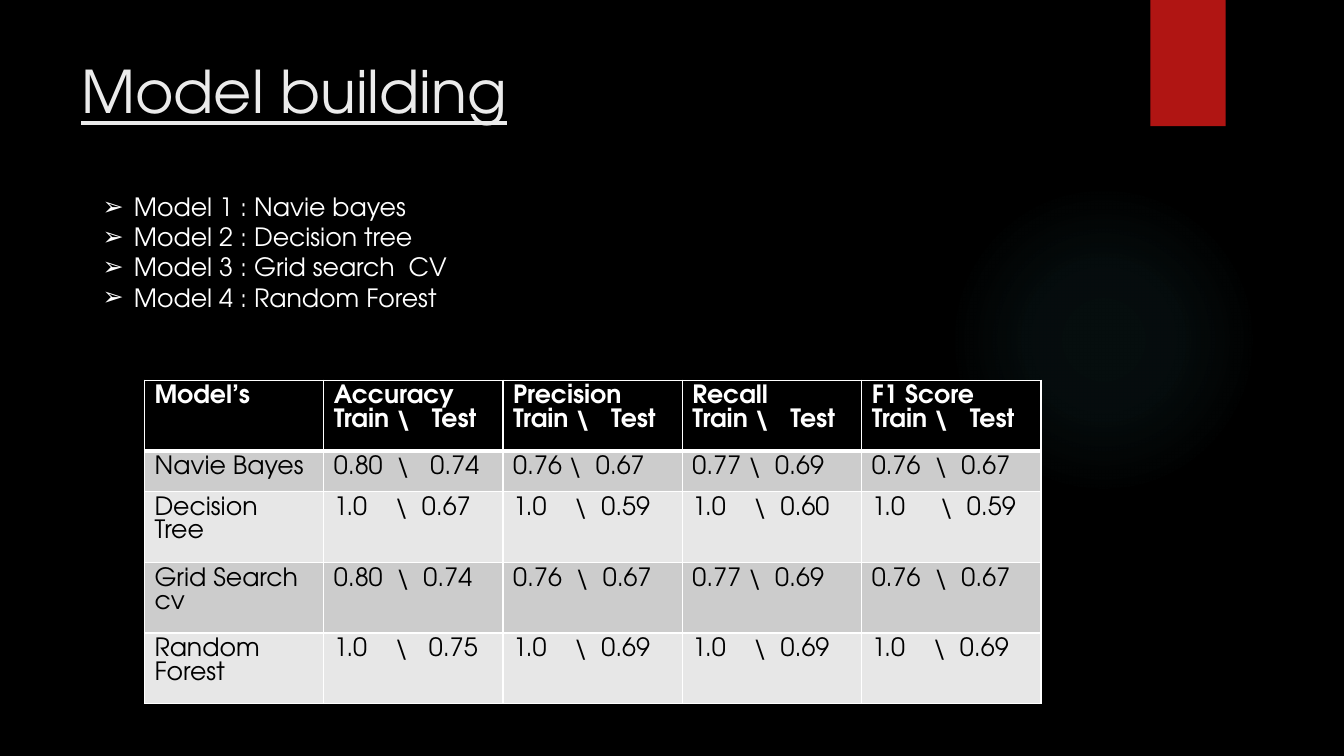
from pptx import Presentation
from pptx.dml.color import RGBColor
from pptx.enum.shapes import MSO_SHAPE as Shape
from pptx.enum.text import MSO_ANCHOR as Anchor, MSO_AUTO_SIZE as AutoSize, PP_ALIGN as Align
from pptx.oxml import parse_xml
from pptx.oxml.ns import nsdecls
from pptx.util import Cm, Pt

FONT = "TeX Gyre Adventor"
TITLE = "Model building"
MODELS = [
    "Model 1 : Navie bayes",
    "Model 2 : Decision tree",
    "Model 3 : Grid search  CV",
    "Model 4 : Random Forest",
]
SPLIT = "Train \\   Test"
SCORES = [
    ["Model’s"] + [f"{m}\n{SPLIT}" for m in ("Accuracy", "Precision", "Recall", "F1 Score")],
    ["Navie Bayes", "0.80  \\   0.74", "0.76 \\  0.67", "0.77 \\  0.69", "0.76  \\  0.67"],
    ["Decision Tree", "1.0    \\  0.67", "1.0    \\  0.59", "1.0    \\  0.60", "1.0     \\  0.59"],
    ["Grid Search cv", "0.80  \\  0.74", "0.76  \\  0.67", "0.77 \\  0.69", "0.76  \\  0.67"],
    ["Random Forest", "1.0    \\   0.75", "1.0    \\  0.69", "1.0    \\  0.69", "1.0    \\  0.69"],
]
GLOW = [(0, 7), (36, 6), (69, 0)]
COL_W = Cm(4.52)
ONE_LINE, TWO_LINES = Cm(1.03), Cm(1.78)
ROW_HEIGHTS = [TWO_LINES, ONE_LINE, TWO_LINES, TWO_LINES, TWO_LINES]


def rgb(value):
    return RGBColor.from_string(value)


def style(p, size, color, bold=False, underline=False):
    p.alignment = Align.LEFT
    p.space_before = p.space_after = Pt(0)
    f = p.font
    f.name, f.size, f.bold, f.underline = FONT, Pt(size), bold, underline
    f.color.rgb = rgb(color)


def place(sp, left, top, width, height):
    sp.left, sp.top, sp.width, sp.height = Cm(left), Cm(top), Cm(width), Cm(height)


def add_shape(s, kind, *box):
    sp = s.shapes.add_shape(kind, *map(Cm, box))
    sp.shadow.inherit = False
    sp.line.fill.background()
    return sp


def add_glow(s):
    sp = add_shape(s, Shape.OVAL, 23.9, 4.65, 7.82, 7.82)
    stops = "".join(
        f'<a:gs pos="{pos * 1000}"><a:srgbClr val="50B9C1">'
        f'<a:alpha val="{alpha * 1000}"/></a:srgbClr></a:gs>'
        for pos, alpha in GLOW
    )
    sp.fill.background()
    no_fill = sp.fill._xPr.noFill
    no_fill.getparent().replace(no_fill, parse_xml(
        f'<a:gradFill {nsdecls("a")}><a:gsLst>{stops}</a:gsLst><a:path path="circle">'
        '<a:fillToRect l="50000" t="50000" r="50000" b="50000"/></a:path></a:gradFill>'))


def add_bullet(p):
    pPr = p._p.get_or_add_pPr()
    pPr.set("marL", str(Cm(0.79)))
    pPr.set("indent", str(-Cm(0.79)))
    pPr.insert_element_before(parse_xml(f'<a:buChar {nsdecls("a")} char="➢"/>'), "a:defRPr")


def set_borders(cell, bottom):
    tcPr = cell._tc.get_or_add_tcPr()
    for i, (side, width) in enumerate([("L", 1), ("R", 1), ("T", 1), ("B", bottom)]):
        tcPr.insert(i, parse_xml(
            f'<a:ln{side} {nsdecls("a")} w="{Pt(width)}"><a:solidFill>'
            f'<a:srgbClr val="FFFFFF"/></a:solidFill></a:ln{side}>'))


def add_scores(s):
    rows, cols = len(SCORES), len(SCORES[0])
    table = s.shapes.add_table(
        rows, cols, Cm(3.64), Cm(9.58), COL_W * cols, sum(ROW_HEIGHTS)).table
    for r, row in enumerate(SCORES):
        header = r == 0
        fill = "000000" if header else ("E7E7E7", "CCCCCC")[r % 2]
        table.rows[r].height = ROW_HEIGHTS[r]
        for c, text in enumerate(row):
            cell = table.cell(r, c)
            cell.text = text
            cell.fill.solid()
            cell.fill.fore_color.rgb = rgb(fill)
            set_borders(cell, 3 if header else 1)
            for p in cell.text_frame.paragraphs:
                style(p, 18, "FFFFFF" if header else "000000", bold=header)


def main():
    prs = Presentation()
    prs.slide_width, prs.slide_height = Cm(33.87), Cm(19.05)
    s = prs.slides.add_slide(prs.slide_layouts[1])
    s.background.fill.solid()
    s.background.fill.fore_color.rgb = rgb("000000")

    add_glow(s)
    ribbon = add_shape(s, Shape.RECTANGLE, 28.99, 0, 1.9, 3.18)
    ribbon.fill.solid()
    ribbon.fill.fore_color.rgb = rgb("B01513")

    title, body = s.placeholders
    place(title, 1.79, 1.26, 26.14, 3.89)
    place(body, 2.33, 4.69, 9.47, 3.33)
    for sp, text in ((title, TITLE), (body, "\n".join(MODELS))):
        tf = sp.text_frame
        tf.text = text
        tf.vertical_anchor = Anchor.TOP
        tf.auto_size = AutoSize.NONE
    style(title.text_frame.paragraphs[0], 42, "EBEBEB", underline=True)
    for p in body.text_frame.paragraphs:
        style(p, 18, "FFFFFF")
        add_bullet(p)

    add_scores(s)
    prs.save("out.pptx")


if __name__ == "__main__":
    main()
